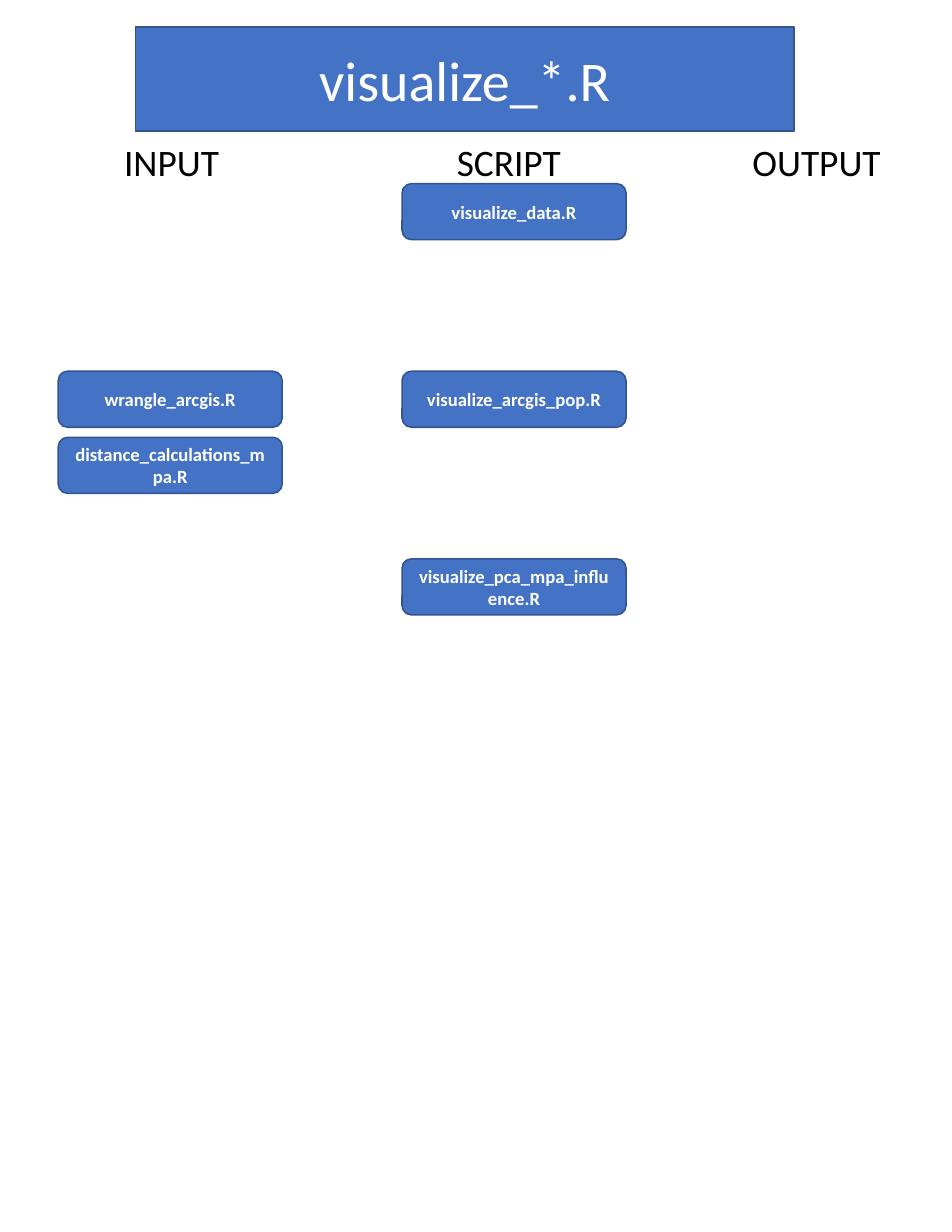
from dataclasses import dataclass

from lxml.etree import SubElement
from pptx import Presentation
from pptx.dml.color import RGBColor
from pptx.enum.shapes import MSO_SHAPE
from pptx.enum.text import MSO_ANCHOR, MSO_AUTO_SIZE, PP_ALIGN
from pptx.oxml.ns import qn
from pptx.util import Inches, Pt


@dataclass(frozen=True)
class Theme:
    font: str = "Calibri"
    fill: RGBColor = RGBColor(0x44, 0x72, 0xC4)
    outline: RGBColor = RGBColor(0x32, 0x54, 0x91)
    light: RGBColor = RGBColor(0xFF, 0xFF, 0xFF)
    dark: RGBColor = RGBColor(0, 0, 0)
    title_size: int = 36
    heading_size: int = 24
    script_size: int = 12


THEME = Theme()


def write(shape, text, *, size, color, bold=False, align=PP_ALIGN.CENTER, anchor=MSO_ANCHOR.MIDDLE):
    frame = shape.text_frame
    frame.word_wrap = True
    frame.auto_size = MSO_AUTO_SIZE.NONE
    frame.vertical_anchor = anchor
    para = frame.paragraphs[0]
    para.alignment = align
    span = para.add_run()
    span.text = text
    span.font.name = THEME.font
    span.font.size = Pt(size)
    span.font.bold = bold
    span.font.color.rgb = color


def paint(shape):
    """Give a shape the blue fill and thin dark outline."""
    shape.fill.solid()
    shape.fill.fore_color.rgb = THEME.fill
    shape.line.color.rgb = THEME.outline
    shape.line.width = Pt(1)


deck = Presentation()
deck.slide_width, deck.slide_height = Inches(8.5), Inches(11)
page = deck.slides.add_slide(deck.slide_layouts[5])

# Title banner: the placeholder takes a rounded outline
banner = page.shapes.title
banner.left, banner.top = Inches(1.21), Inches(0.24)
banner.width, banner.height = Inches(5.88), Inches(0.93)
outline = SubElement(banner.element.spPr, qn("a:prstGeom"), prst="roundRect")
SubElement(outline, qn("a:avLst"))
paint(banner)
write(banner, "visualize_*.R", size=THEME.title_size, color=THEME.light)

# Column headings
for heading, left, width in [("INPUT", 1.01, 1.21), ("SCRIPT", 3.98, 1.21), ("OUTPUT", 6.62, 1.36)]:
    box = page.shapes.add_textbox(Inches(left), Inches(1.19), Inches(width), Inches(0.5))
    write(box, heading, size=THEME.heading_size, color=THEME.dark,
          align=PP_ALIGN.LEFT, anchor=MSO_ANCHOR.TOP)

# Script boxes: main rows are evenly spaced, further inputs stack below
INPUT_LEFT, SCRIPT_LEFT = 0.52, 3.59
FIRST_ROW, ROW_STEP, STACK_STEP = 1.64, 1.675, 0.59
rows = [
    ("visualize_data.R", []),
    ("visualize_arcgis_pop.R", ["wrangle_arcgis.R", "distance_calculations_mpa.R"]),
    ("visualize_pca_mpa_influence.R", []),
]
for row, (script, inputs) in enumerate(rows):
    top = FIRST_ROW + row * ROW_STEP
    boxes = [(script, SCRIPT_LEFT, top)]
    boxes += [(name, INPUT_LEFT, top + i * STACK_STEP) for i, name in enumerate(inputs)]
    for name, left, box_top in boxes:
        box = page.shapes.add_shape(MSO_SHAPE.ROUNDED_RECTANGLE, Inches(left), Inches(box_top),
                                    Inches(2), Inches(0.5))
        box.shadow.inherit = False
        paint(box)
        write(box, name, size=THEME.script_size, color=THEME.light, bold=True)

deck.save("out.pptx")
